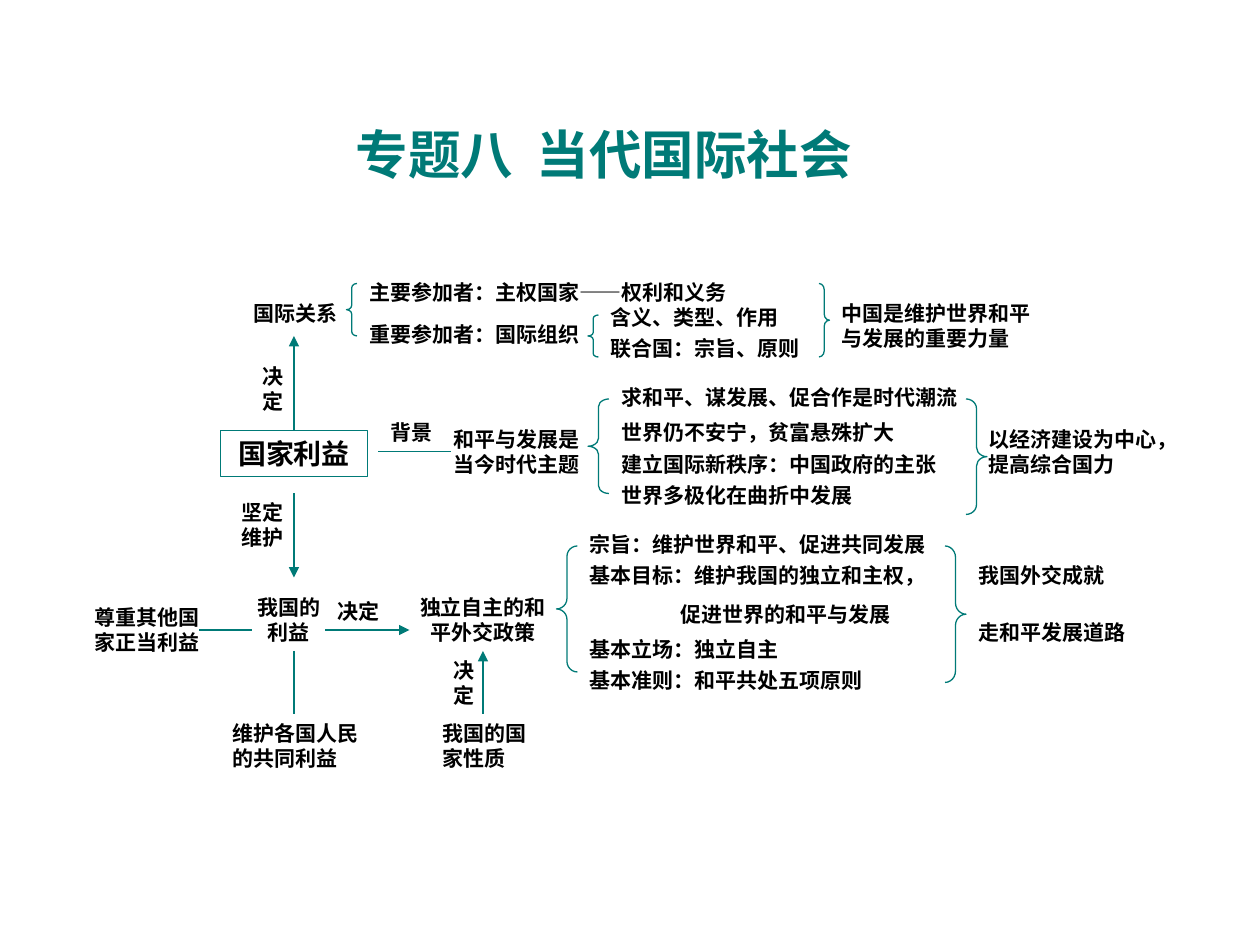
from lxml.etree import SubElement
from pptx import Presentation
from pptx.dml.color import RGBColor
from pptx.enum.shapes import MSO_CONNECTOR as Line, MSO_SHAPE as Shape
from pptx.enum.text import MSO_ANCHOR as Anchor, MSO_AUTO_SIZE as Fit, PP_ALIGN as Align
from pptx.oxml.ns import qn
from pptx.util import Inches, Pt

COLUMNS, ROWS = 120, 90
ONE_LINE, TWO_LINES = 3.6, 6
INDENT = 0.72


def color(value):
    return RGBColor.from_string(value)


class Diagram:
    accent, ink = "007A77", "000000"
    body_font, title_font = "Times New Roman", "Arial"
    line_width = 0.75

    def __init__(self, deck):
        self.cell_width = deck.slide_width / COLUMNS
        self.cell_height = deck.slide_height / ROWS
        self.page = deck.slides.add_slide(deck.slide_layouts[6])

    def place(self, column, row):
        return round(column * self.cell_width), round(row * self.cell_height)

    def outline(self, item):
        item.line.color.rgb = color(self.accent)
        item.line.width = Pt(self.line_width)

    def label(self, box, paragraphs, size=12, font=body_font, ink=ink, align=Align.LEFT):
        frame = box.text_frame
        frame.word_wrap = True
        frame.auto_size = Fit.SHAPE_TO_FIT_TEXT
        frame.vertical_anchor = Anchor.TOP
        for index, words in enumerate(paragraphs):
            para = frame.add_paragraph() if index else frame.paragraphs[0]
            para.alignment = align
            if index:
                para.space_before = Pt(7.5)
                para._p.get_or_add_pPr().set("marL", str(Inches(INDENT)))
            span = para.add_run()
            span.text = words
            span.font.name = font
            span.font.size = Pt(size)
            span.font.bold = True
            span.font.color.rgb = color(ink)

    def text(self, column, row, width, height, *paragraphs, **style):
        box = self.page.shapes.add_textbox(*self.place(column, row), *self.place(width, height))
        self.label(box, paragraphs, **style)
        return box

    def shape(self, kind, column, row, width, height):
        item = self.page.shapes.add_shape(kind, *self.place(column, row), *self.place(width, height))
        item.shadow.inherit = False
        item.fill.background()
        self.outline(item)
        return item

    def frame(self, column, row, width, height, words, size):
        box = self.shape(Shape.RECTANGLE, column, row, width, height)
        self.label(box, [words], size=size, align=Align.CENTER)
        return box

    def brace(self, kind, column, row, width, height):
        item = self.shape(kind, column, row, width, height)
        item.adjustments[0] = height / width / 12

    def line(self, start, end, arrow=False):
        item = self.page.shapes.add_connector(Line.STRAIGHT, *self.place(*start), *self.place(*end))
        self.outline(item)
        properties = item._element.spPr
        if arrow:
            SubElement(properties.find(qn("a:ln")), qn("a:tailEnd"), type="triangle")
        SubElement(properties, qn("a:effectLst"))
        return item


def main():
    deck = Presentation()
    deck.slide_width, deck.slide_height = Inches(10), Inches(7.5)
    diagram = Diagram(deck)

    diagram.text(31, 11, 53, 7.2, "专题八  当代国际社会", size=30,
                 font=diagram.title_font, ink=diagram.accent, align=Align.CENTER)
    interest = diagram.frame(21, 41, 14, 4.4, "国家利益", 16)

    for column, row, width, words in [
        (23, 28, 11, "国际关系"),
        (34, 26, 38, "主要参加者：主权国家——权利和义务"),
        (34, 30, 24, "重要参加者：国际组织"),
        (57, 28.4, 20, "含义、类型、作用"),
        (57, 31.4, 21, "联合国：宗旨、原则"),
        (36, 39.4, 7, "背景"),
        (58, 36, 36, "求和平、谋发展、促合作是时代潮流"),
        (58, 39.4, 29, "世界仍不安宁，贫富悬殊扩大"),
        (58, 42.4, 33, "建立国际新秩序：中国政府的主张"),
        (58, 45.4, 28, "世界多极化在曲折中发展"),
        (31, 56.4, 8, "决定"),
        (55, 50, 36, "宗旨：维护世界和平、促进共同发展"),
        (55, 60, 23, "基本立场：独立自主"),
        (55, 63, 30, "基本准则：和平共处五项原则"),
        (92, 53, 15, "我国外交成就"),
        (92, 58.4, 17, "走和平发展道路"),
    ]:
        diagram.text(column, row, width, ONE_LINE, words)
    diagram.text(55, 53, 35, 7.3, "基本目标：维护我国的独立和主权，", "促进世界的和平与发展")

    for column, row, width, words in [
        (79, 28, 22, "中国是维护世界和平与发展的重要力量"),
        (42, 40, 15, "和平与发展是当今时代主题"),
        (93, 40, 21, "以经济建设为中心，提高综合国力"),
        (21, 68, 15, "维护各国人民的共同利益"),
        (41, 68, 11, "我国的国家性质"),
    ]:
        diagram.text(column, row, width, TWO_LINES, words)

    for column, row, width, words in [
        (23, 34, 6, "决定"),
        (21, 47, 8, "坚定维护"),
        (7, 57, 14, "尊重其他国家正当利益"),
        (23, 56, 9, "我国的利益"),
        (42, 62, 4, "决定"),
    ]:
        diagram.text(column, row, width, TWO_LINES, words, align=Align.CENTER)
    policy = diagram.text(38, 56, 16, TWO_LINES, "独立自主的和平外交政策", align=Align.CENTER)

    for kind, column, row, width, height in [
        (Shape.LEFT_BRACE, 33, 27, 1, 5),
        (Shape.LEFT_BRACE, 56, 30, 1, 4),
        (Shape.RIGHT_BRACE, 78, 27, 1, 7),
        (Shape.LEFT_BRACE, 56, 38, 2, 9),
        (Shape.RIGHT_BRACE, 92, 38, 2, 11),
        (Shape.LEFT_BRACE, 53, 52, 2, 12),
        (Shape.RIGHT_BRACE, 90, 52, 2, 13),
    ]:
        diagram.brace(kind, column, row, width, height)

    diagram.line((28, 41), (28, 32), arrow=True).begin_connect(interest, 0)
    diagram.line((46, 68), (46, 62), arrow=True).end_connect(policy, 2)
    diagram.line((28, 47), (28, 55), arrow=True)
    diagram.line((31, 60), (39, 60), arrow=True)
    diagram.line((36, 43), (43, 43))
    diagram.line((19, 60), (24, 60))
    diagram.line((28, 62), (28, 68))

    deck.save("out.pptx")


if __name__ == "__main__":
    main()
